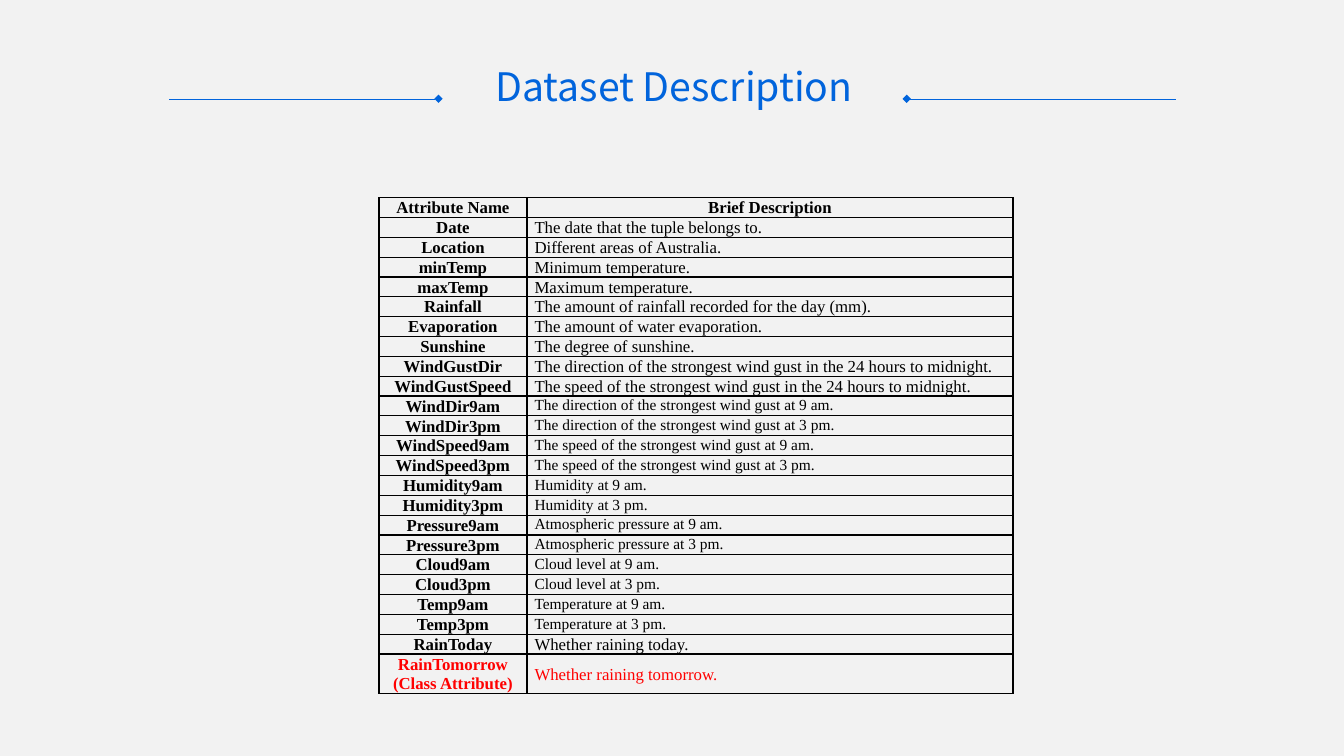
from collections import namedtuple
from dataclasses import dataclass

from lxml import etree
from pptx import Presentation
from pptx.dml.color import RGBColor
from pptx.enum.shapes import MSO_CONNECTOR
from pptx.enum.text import MSO_ANCHOR, MSO_AUTO_SIZE, PP_ALIGN
from pptx.oxml.ns import qn
from pptx.util import Cm, Pt

STRAIGHT = MSO_CONNECTOR.STRAIGHT
TOP, MIDDLE = MSO_ANCHOR.TOP, MSO_ANCHOR.MIDDLE
CENTER, JUSTIFY = PP_ALIGN.CENTER, PP_ALIGN.JUSTIFY
NO_AUTOFIT = MSO_AUTO_SIZE.NONE
TITLE_ONLY = 5

Box = namedtuple("Box", "left top width height")


@dataclass(frozen=True)
class Theme:
    background: RGBColor = RGBColor(0xF2, 0xF2, 0xF2)
    accent: RGBColor = RGBColor(0x01, 0x64, 0xDC)
    ink: RGBColor = RGBColor(0, 0, 0)
    highlight: RGBColor = RGBColor(0xFF, 0, 0)
    heading_font: str = "Noto Sans CJK SC"
    table_font: str = "Times New Roman"
    heading_size: Pt = Pt(28)
    table_size: Pt = Pt(12)
    small_size: Pt = Pt(11)
    rule_width: Pt = Pt(0.25)
    border_width: Pt = Pt(1)


THEME = Theme()
HEADING_BOX = Box(4.27, 1.65, 25.36, 1.2)
ATTRIBUTES_BOX = Box(9.55, 4.98, 15.98, 12.5)

HEADER = ("Attribute Name", "Brief Description")
DAILY = [
    ("Date", "The date that the tuple belongs to."),
    ("Location", "Different areas of Australia."),
    ("minTemp", "Minimum temperature."),
    ("maxTemp", "Maximum temperature."),
    ("Rainfall", "The amount of rainfall recorded for the day (mm)."),
    ("Evaporation", "The amount of water evaporation."),
    ("Sunshine", "The degree of sunshine."),
    ("WindGustDir", "The direction of the strongest wind gust in the 24 hours to midnight."),
    ("WindGustSpeed", "The speed of the strongest wind gust in the 24 hours to midnight."),
]
MEASURES = [
    ("WindDir", "The direction of the strongest wind gust"),
    ("WindSpeed", "The speed of the strongest wind gust"),
    ("Humidity", "Humidity"),
    ("Pressure", "Atmospheric pressure"),
    ("Cloud", "Cloud level"),
    ("Temp", "Temperature"),
]
TWICE_DAILY = [
    (f"{measure}{hour}{half}", f"{meaning} at {hour} {half}.")
    for measure, meaning in MEASURES
    for hour, half in ((9, "am"), (3, "pm"))
]
RAIN_TODAY = ("RainToday", "Whether raining today.")
CLASS_ATTRIBUTE = ("RainTomorrow (Class Attribute)", "Whether raining tomorrow.")


def apply(target, formats):
    for attribute, value in formats.items():
        setattr(target, attribute, value)


def write(frame, text, paragraph_format, font_format, color):
    paragraph = frame.paragraphs[0]
    apply(paragraph, paragraph_format)
    run = paragraph.add_run()
    run.text = text
    apply(run.font, font_format)
    run.font.color.rgb = color


def add_rule(slide, inner, outer, level):
    rule = slide.shapes.add_connector(STRAIGHT, Cm(inner), Cm(level), Cm(outer), Cm(level))
    rule.line.color.rgb = THEME.accent
    rule.line.width = THEME.rule_width
    etree.SubElement(rule.line._get_or_add_ln(), qn("a:headEnd"), type="diamond")
    etree.SubElement(rule._element.spPr, qn("a:effectLst"))


def add_heading(slide, box, text):
    rule_length, title_inset = 6.78, 4.93
    level = box.top + 0.84
    right = box.left + box.width
    add_rule(slide, box.left + rule_length, box.left, level)
    add_rule(slide, right - rule_length, right, level)

    title = slide.shapes.title
    apply(title, {
        "left": Cm(box.left + title_inset),
        "top": Cm(box.top),
        "width": Cm(box.width - 2 * title_inset + 0.07),
        "height": Cm(box.height),
    })
    apply(title.text_frame, {
        "word_wrap": True,
        "auto_size": NO_AUTOFIT,
        "vertical_anchor": MIDDLE,
    })
    write(
        title.text_frame, text,
        {"alignment": CENTER, "line_spacing": 0.9, "space_before": Pt(10)},
        {"name": THEME.heading_font, "size": THEME.heading_size, "bold": False},
        THEME.accent,
    )


def add_borders(cell):
    properties = cell._tc.get_or_add_tcPr()
    for side in ("lnL", "lnR", "lnT", "lnB"):
        border = etree.SubElement(properties, qn(f"a:{side}"), w=str(THEME.border_width))
        fill = etree.SubElement(border, qn("a:solidFill"))
        etree.SubElement(fill, qn("a:srgbClr"), val=str(THEME.ink))


def fill_cell(cell, text, anchor, alignment, size, bold, color):
    apply(cell, {
        "margin_left": Cm(0.19),
        "margin_right": Cm(0.19),
        "margin_top": 0,
        "margin_bottom": 0,
        "vertical_anchor": anchor,
    })
    add_borders(cell)
    cell.fill.background()
    write(
        cell.text_frame, text,
        {"alignment": alignment, "line_spacing": 1.06, "space_after": Pt(8)},
        {"name": THEME.table_font, "size": size, "bold": bold},
        color,
    )


def add_attributes(slide, box):
    entries = [HEADER, *DAILY, *TWICE_DAILY, RAIN_TODAY, CLASS_ATTRIBUTE]
    row_height = box.height / (len(entries) + 1)
    name_width = 3.73
    table = slide.shapes.add_table(len(entries), 2, *map(Cm, box)).table
    apply(table, {"first_row": False, "horz_banding": False})
    for column, width in zip(table.columns, (name_width, box.width - name_width)):
        column.width = Cm(width)

    for row, entry in zip(table.rows, entries):
        is_header, is_class = entry == HEADER, entry == CLASS_ATTRIBUTE
        row.height = Cm(row_height * (2 if is_class else 1))
        color = THEME.highlight if is_class else THEME.ink
        name, description = entry
        fill_cell(row.cells[0], name, MIDDLE, CENTER, THEME.table_size, True, color)
        fill_cell(
            row.cells[1], description,
            MIDDLE if is_class else TOP,
            CENTER if is_header else JUSTIFY,
            THEME.small_size if entry in TWICE_DAILY else THEME.table_size,
            is_header, color,
        )


def main():
    deck = Presentation()
    apply(deck, {"slide_width": Cm(33.87), "slide_height": Cm(19.05)})
    slide = deck.slides.add_slide(deck.slide_layouts[TITLE_ONLY])
    slide.background.fill.solid()
    slide.background.fill.fore_color.rgb = THEME.background
    add_heading(slide, HEADING_BOX, "Dataset Description")
    add_attributes(slide, ATTRIBUTES_BOX)
    deck.save("out.pptx")


if __name__ == "__main__":
    main()
